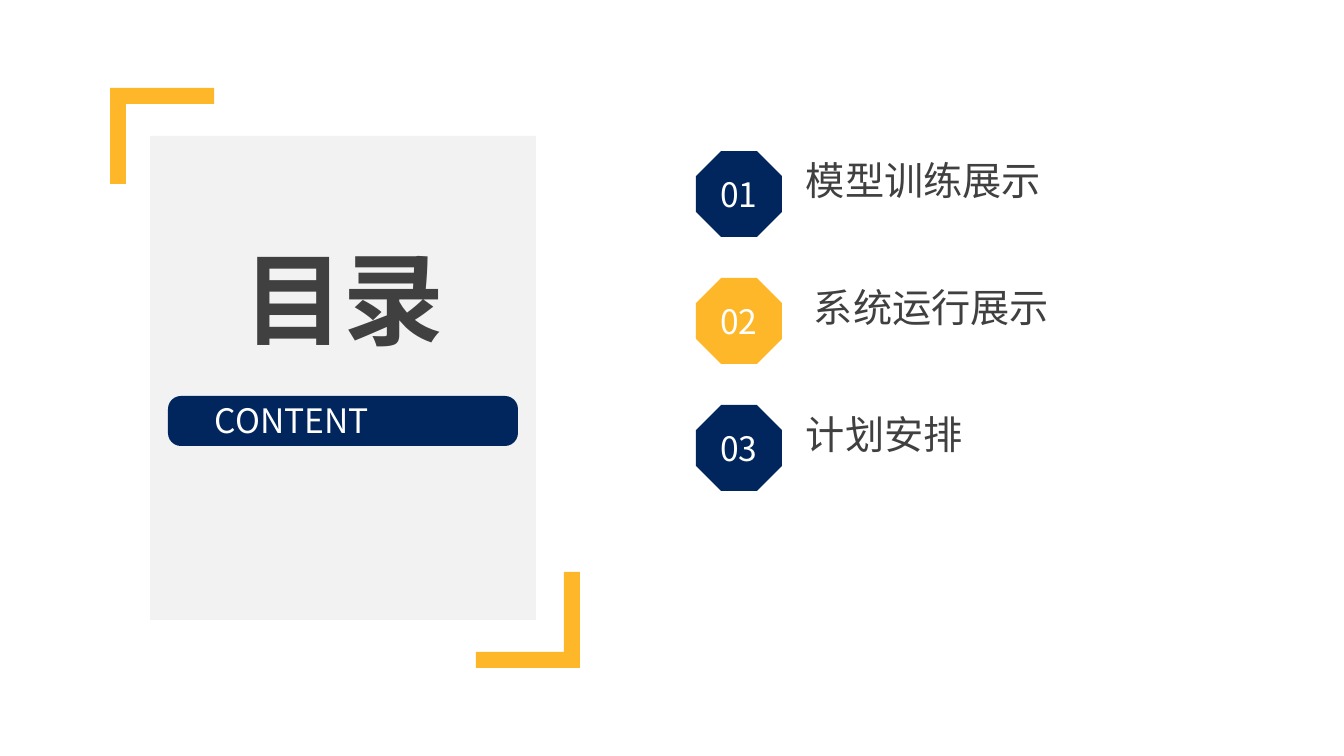
from lxml import etree
from pptx import Presentation
from pptx.dml.color import RGBColor
from pptx.enum.shapes import MSO_SHAPE
from pptx.enum.text import MSO_ANCHOR, MSO_AUTO_SIZE, PP_ALIGN
from pptx.oxml.ns import qn
from pptx.util import Emu, Pt

# Content: number, label, label left, badge colour
TITLE = "目录"
SUBTITLE = "CONTENT"
AGENDA = [
    ("01", "模型训练展示", 796, "navy"),
    ("02", "系统运行展示", 804, "amber"),
    ("03", "计划安排", 796, "navy"),
]
# Outer corner x, y and the direction in which the arms run
BRACKETS = [(580, 668, -1), (110, 88, 1)]
BRACKET_OUTLINE = [(0, 0), (104, 0), (104, 16), (16, 16), (16, 96), (0, 96)]

COLORS = {"navy": "00265D", "amber": "FEB728", "panel": "F2F2F2",
          "text": "404040", "white": "FFFFFF"}
FONT = "Noto Sans CJK SC"
AGENDA_TOP, AGENDA_STEP, BADGE_LEFT, BADGE_SIZE = 151, 127, 696, 86


def px(*lengths):
    return [Emu(round(length * 914400 / 100.8)) for length in lengths]


def color(name):
    return RGBColor.from_string(COLORS[name])


def write(shape, text, size, ink="text", bold=False, align=PP_ALIGN.LEFT,
          anchor=MSO_ANCHOR.TOP):
    frame = shape.text_frame
    frame.word_wrap = True
    frame.auto_size = MSO_AUTO_SIZE.NONE
    frame.vertical_anchor = anchor
    paragraph = frame.paragraphs[0]
    paragraph.alignment = align
    run = paragraph.add_run()
    run.text = text
    run.font.size = Pt(size)
    run.font.bold = bold
    run.font.color.rgb = color(ink)
    run.font.name = FONT
    east_asian = etree.SubElement(run.font._element, qn("a:ea"))
    east_asian.set("typeface", FONT)


def paint(shape, fill):
    shape.shadow.inherit = False
    shape.fill.solid()
    shape.fill.fore_color.rgb = color(fill)
    shape.line.fill.background()
    return shape


def add_block(preset, box, fill):
    return paint(slide.shapes.add_shape(preset, *px(*box)), fill)


presentation = Presentation()
presentation.slide_width, presentation.slide_height = px(1344, 756)
slide = presentation.slides.add_slide(presentation.slide_layouts[5])

# Corner brackets
for corner_x, corner_y, direction in BRACKETS:
    points = [px(corner_x + direction * x, corner_y + direction * y)
              for x, y in BRACKET_OUTLINE]
    outline = slide.shapes.build_freeform(*points[0])
    outline.add_line_segments(points[1:], close=True)
    paint(outline.convert_to_shape(), "amber")

# Panel and subtitle bar
add_block(MSO_SHAPE.RECTANGLE, (150, 136, 386, 484), "panel")
bar = add_block(MSO_SHAPE.ROUNDED_RECTANGLE, (168, 396, 350, 50), "navy")
bar.adjustments[0] = 0.26

# Title, brought in front of the panel
title = slide.shapes.title
title.left, title.top, title.width, title.height = px(205, 232, 278, 132)
write(title, TITLE, 72, bold=True, align=PP_ALIGN.CENTER)
slide.shapes.element.append(title.element)

subtitle = slide.shapes.add_textbox(*px(205, 395, 278, 50))
write(subtitle, SUBTITLE, 24, ink="white", align=PP_ALIGN.JUSTIFY)

# Agenda rows
for row, (number, label, label_left, fill) in enumerate(AGENDA):
    top = AGENDA_TOP + row * AGENDA_STEP
    badge = add_block(MSO_SHAPE.OCTAGON,
                      (BADGE_LEFT, top, BADGE_SIZE, BADGE_SIZE), fill)
    write(badge, number, 24, ink="white", align=PP_ALIGN.CENTER,
          anchor=MSO_ANCHOR.MIDDLE)
    label_box = slide.shapes.add_textbox(*px(label_left, top, 399, 58))
    write(label_box, label, 28)

presentation.save("out.pptx")
